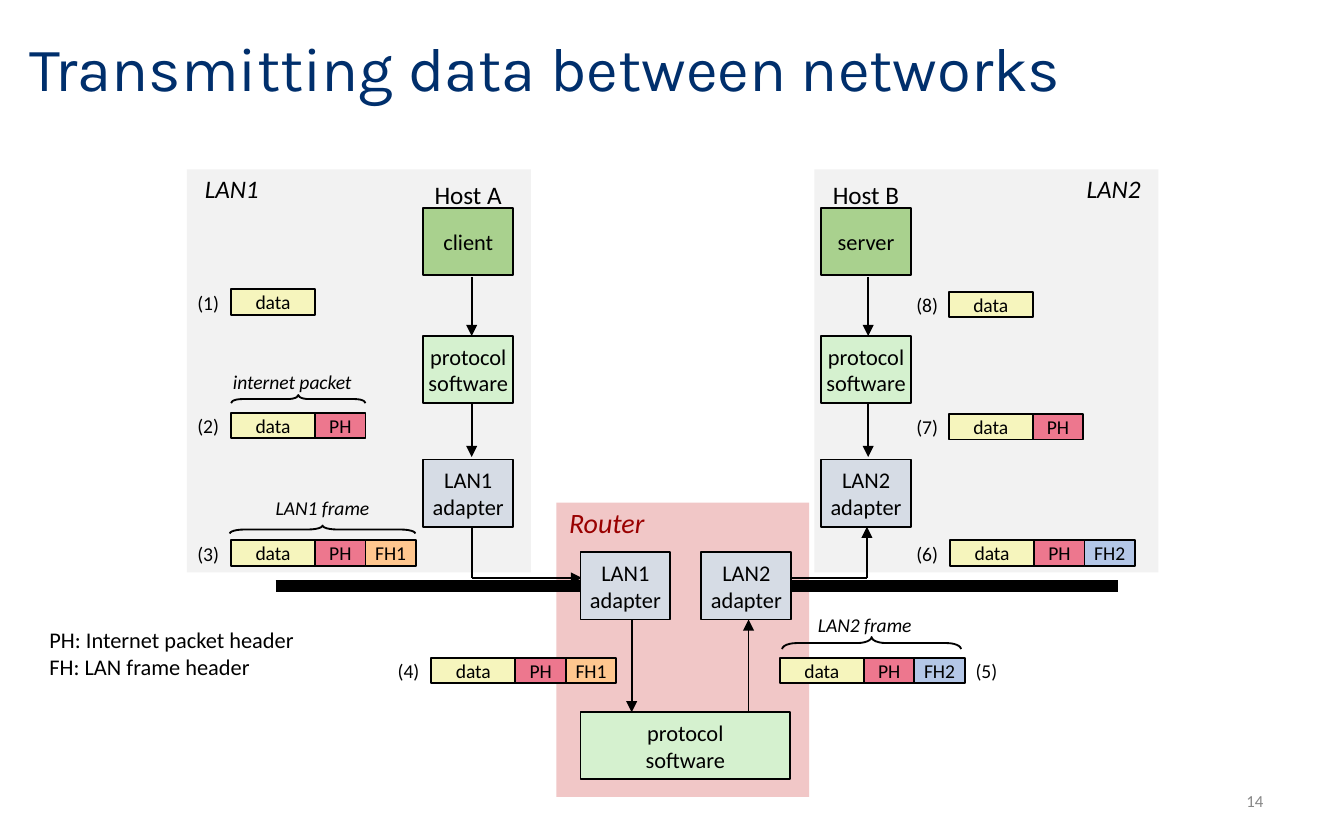
from lxml import etree
from pptx import Presentation
from pptx import util as u
from pptx.dml.color import RGBColor
from pptx.enum import shapes, text
from pptx.oxml import ns

Pt = u.Pt
color = RGBColor.from_string
LEFT, CENTER, RIGHT = text.PP_ALIGN.LEFT, text.PP_ALIGN.CENTER, text.PP_ALIGN.RIGHT
BLACK = "000000"
GREEN, MINT, STEEL = "A9D18E", "D5F1CF", "D6DCE5"

deck = Presentation()
deck.slide_width, deck.slide_height = Pt(720), Pt(450)
page = deck.slides.add_slide(deck.slide_layouts[6])


def add_box(lines, x, y, w, h, size=12, fill=None, border=True, italic=False,
            ink=BLACK, font="Calibri", align=CENTER, anchor=text.MSO_ANCHOR.MIDDLE):
    """Add a filled rectangle, or a plain text box when fill is None."""
    place = Pt(x), Pt(y), Pt(w), Pt(h)
    if fill:
        box = page.shapes.add_shape(shapes.MSO_SHAPE.RECTANGLE, *place)
        box.shadow.inherit = False
        box.fill.solid()
        box.fill.fore_color.rgb = color(fill)
        if border:
            box.line.color.rgb = color(BLACK)
            box.line.width = Pt(1)
        else:
            box.line.fill.background()
    else:
        box = page.shapes.add_textbox(*place)
    frame = box.text_frame
    frame.word_wrap = False
    frame.vertical_anchor = anchor
    for number, line in enumerate(lines):
        para = frame.add_paragraph() if number else frame.paragraphs[0]
        para.alignment = align
        span = para.add_run()
        span.text = line
        span.font.name, span.font.size = font, Pt(size)
        span.font.italic = italic
        span.font.color.rgb = color(ink)
    return box


def add_line(x1, y1, x2, y2, width=1, arrow=True):
    """Add a straight line, with an arrowhead at its end if wanted."""
    line = page.shapes.add_connector(shapes.MSO_CONNECTOR.STRAIGHT,
                                     Pt(x1), Pt(y1), Pt(x2), Pt(y2))
    line.line.color.rgb = color(BLACK)
    line.line.width = Pt(width)
    if arrow:
        etree.SubElement(line.line._get_or_add_ln(), ns.qn("a:tailEnd"), type="triangle")
    etree.SubElement(line._element.spPr, ns.qn("a:effectLst"))


# Title and page number
title = add_box(["Transmitting data between networks"], 8.6, 7.2, 613.4, 61.9,
                size=33, font="Karla", ink="002F6C", align=LEFT)
title.text_frame.paragraphs[0].line_spacing = 0.9
add_box(["14"], 576, 416.9, 108, 23.8, size=9, ink="888888", align=RIGHT)

# Background panels
for x, y, w, h, fill in [(436.3, 90.7, 184.3, 216, "F2F2F2"),
                         (100.1, 90.7, 184.3, 216, "F2F2F2"),
                         (298.1, 269.3, 135.4, 157.7, "F1C7C7")]:
    add_box([], x, y, w, h, fill=fill, border=False)

# Network cables
for x in (147.6, 423.4):
    add_line(x, 313.9, x + 175.7, 313.9, width=6, arrow=False)

# Links between the hosts and the router
add_line(252.7, 282.2, 252.7, 309.6, arrow=False)
add_line(252.7, 309.6, 311.8, 309.6)
add_line(423.4, 309.6, 464.4, 309.6, arrow=False)
add_line(464.4, 309.6, 464.4, 282.2)

# Host stacks
for x, arrow_x, host, program, lan in [(226.8, 252.7, "Host A", "client", "LAN1"),
                                       (439.9, 465.1, "Host B", "server", "LAN2")]:
    add_box([host], x - 1.2, 92.2, 50.4, 23.8, size=13.5)
    add_box([program], x, 111.6, 48.2, 36, fill=GREEN)
    add_box(["protocol", "software"], x, 180, 48.2, 36, fill=MINT)
    add_box([lan, "adapter"], x, 246.2, 48.2, 36, fill=STEEL)
    add_line(arrow_x, 148.3, arrow_x, 180)
    add_line(arrow_x, 216, arrow_x, 244.8)

# Router
add_box(["protocol", "software"], 311, 381.6, 112.3, 36, fill=MINT)
for x, lan in [(311, "LAN1"), (375.8, "LAN2")]:
    add_box([lan, "adapter"], x, 295.9, 48.2, 36, fill=STEEL)
add_line(338.4, 331.9, 338.4, 381.6)
add_line(401, 381.6, 401, 331.9)

# Area labels
add_box(["LAN1"], 102.2, 89.3, 43.9, 23.8, size=13.5, italic=True)
add_box(["LAN2"], 574.6, 89.3, 43.9, 23.8, size=13.5, italic=True)
add_box(["Router"], 297.4, 267.1, 55.4, 25.2, size=15, italic=True, ink="990000")

# Numbered packets: step, left, top, label left, parts
parts = {"data": (45, "F6F5BD"), "PH": (27, "ED778E"),
         "FH1": (27, "FFC78F"), "FH2": (27, "B4C7E7")}
packets = [
    (1, 123.8, 155, 98.6, ["data"]),
    (2, 123.8, 221.2, 98.6, ["data", "PH"]),
    (3, 123.8, 289.4, 98.6, ["data", "PH", "FH1"]),
    (4, 231.1, 352.3, 205.9, ["data", "PH", "FH1"]),
    (5, 417.8, 352.3, 515.5, ["data", "PH", "FH2"]),
    (6, 509, 289.4, 483.8, ["data", "PH", "FH2"]),
    (7, 508.3, 221.8, 483.8, ["data", "PH"]),
    (8, 508.3, 156.3, 483.8, ["data"]),
]
for step, x, y, label_x, names in packets:
    add_box([f"({step})"], label_x, y - 3, 25.9, 20, size=10.5)
    for name in names:
        width, fill = parts[name]
        add_box([name], x, y, width, 13.7, size=10.5, fill=fill)
        x += width

# Braces over packets: label, centre, span, depth, curl, label centre and top
for label, x, y, span_width, depth, curl, label_x, label_y in [
        ("internet packet", 159.8, 213.8, 72, 4.3, 1.33, 156.6, 194.6),
        ("LAN1 frame", 172.8, 283.7, 99.4, 4.3, 1.83, 172.8, 262.1),
        ("LAN2 frame", 466.9, 344.5, 95.8, 6.5, 1.19, 463.3, 324.9)]:
    brace = page.shapes.add_shape(shapes.MSO_SHAPE.LEFT_BRACE,
                                  Pt(x - depth / 2), Pt(y - span_width / 2),
                                  Pt(depth), Pt(span_width))
    brace.rotation = 90
    brace.adjustments[0] = curl
    brace.shadow.inherit = False
    brace.fill.background()
    brace.line.color.rgb = color(BLACK)
    brace.line.width = Pt(1)
    add_box([label], label_x - 40, label_y, 80, 20, size=10.5, italic=True)

# Legend
add_box(["PH: Internet packet header", "FH: LAN frame header"],
        19.4, 331.9, 146.9, 36, align=LEFT, anchor=text.MSO_ANCHOR.TOP)

deck.save("out.pptx")
